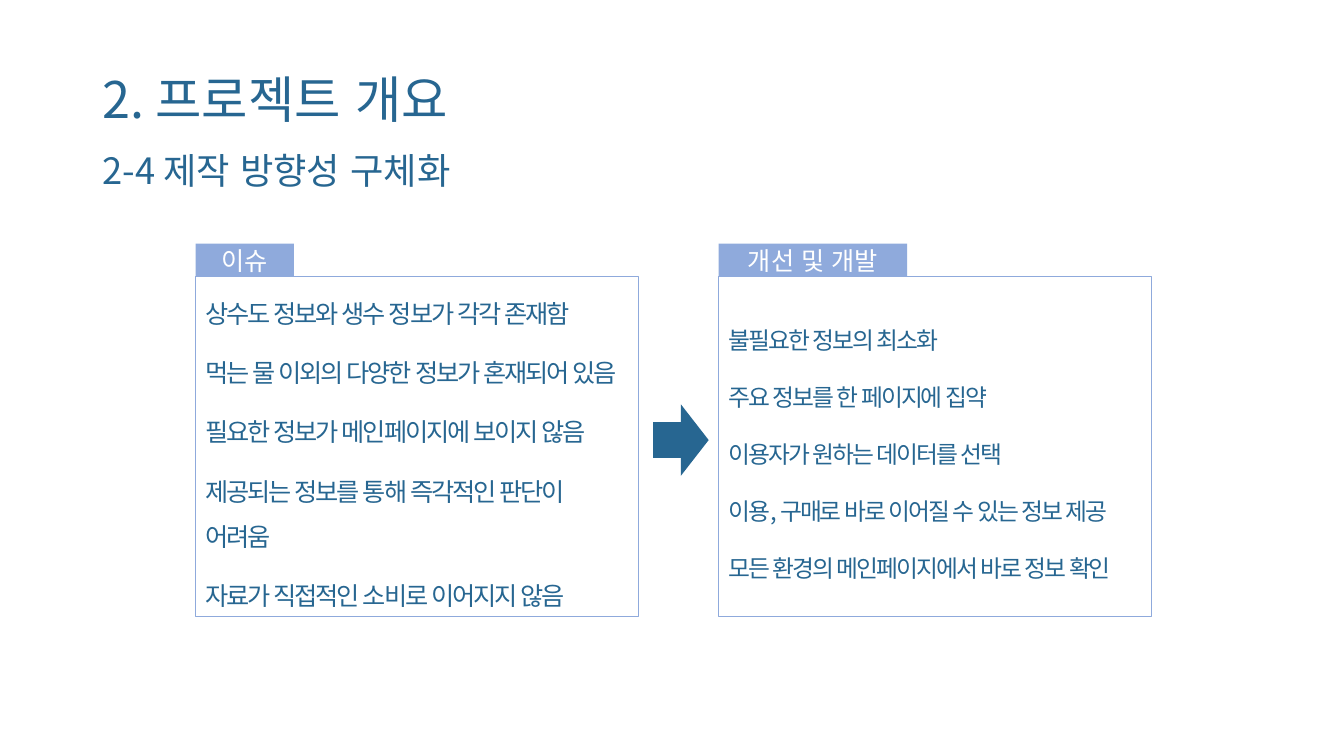
from lxml.etree import SubElement
from pptx import Presentation
from pptx.dml.color import RGBColor
from pptx.enum.lang import MSO_LANGUAGE_ID
from pptx.enum.shapes import MSO_SHAPE
from pptx.enum.text import MSO_ANCHOR, PP_ALIGN
from pptx.oxml.ns import qn
from pptx.util import Cm, Pt

FONT = "Noto Sans CJK KR"
NAVY = RGBColor(0x27, 0x66, 0x91)
PERIWINKLE = RGBColor(0x8F, 0xAA, 0xDC)
WHITE = RGBColor(0xFF, 0xFF, 0xFF)

PANEL_TOP = 6.98
PANEL_HEIGHT = 8.56
LABEL_HEIGHT = 0.84

ISSUES = [
    "상수도 정보와 생수 정보가 각각 존재함",
    "먹는 물 이외의 다양한 정보가 혼재되어 있음",
    "필요한 정보가 메인페이지에 보이지 않음",
    "제공되는 정보를 통해 즉각적인 판단이 어려움",
    "자료가 직접적인 소비로 이어지지 않음",
]
IMPROVEMENTS = [
    "불필요한 정보의 최소화",
    "주요 정보를 한 페이지에 집약",
    "이용자가 원하는 데이터를 선택",
    "이용, 구매로 바로 이어질 수 있는 정보 제공",
    "모든 환경의 메인페이지에서 바로 정보 확인",
]


def write(frame, lines, size, color=NAVY, align=PP_ALIGN.LEFT, anchor=MSO_ANCHOR.MIDDLE,
          line_spacing=1.0, gap=0, tracking=0, inset=0.13, right=0.25):
    frame.word_wrap = True
    frame.vertical_anchor = anchor
    frame.margin_top = frame.margin_bottom = Cm(inset)
    frame.margin_right = Cm(right)
    for index, line in enumerate(lines):
        paragraph = frame.add_paragraph() if index else frame.paragraphs[0]
        paragraph.alignment = align
        paragraph.line_spacing = line_spacing
        paragraph.space_before = Pt(gap if index else 0)
        run = paragraph.add_run()
        run.text = line
        run.font.size = Pt(size)
        run.font.name = FONT
        run.font.language_id = MSO_LANGUAGE_ID.KOREAN
        run.font.color.rgb = color
        properties = run.font._element
        SubElement(properties, qn("a:ea")).set("typeface", FONT)
        if tracking:
            properties.set("spc", str(int(tracking * 100)))


def add_heading(slide, text, top, width, height, **style):
    heading = slide.shapes.add_textbox(Cm(2.33), Cm(top), Cm(width), Cm(height))
    write(heading.text_frame, [text], **style)


def add_block(slide, preset, left, top, width, height, fill=None, outline=None):
    block = slide.shapes.add_shape(preset, Cm(left), Cm(top), Cm(width), Cm(height))
    block.shadow.inherit = False
    if fill is None:
        block.fill.background()
    else:
        block.fill.solid()
        block.fill.fore_color.rgb = fill
    if outline is None:
        block.line.fill.background()
    else:
        block.line.color.rgb = outline
        block.line.width = Pt(0.75)
    return block


def add_panel(slide, label, points, left, width, label_width, size):
    panel = add_block(slide, MSO_SHAPE.RECTANGLE, left, PANEL_TOP, width, PANEL_HEIGHT,
                      outline=PERIWINKLE)
    write(panel.text_frame, points, size, line_spacing=1.5, gap=10, tracking=-1.5, right=0.5)
    tab = add_block(slide, MSO_SHAPE.RECTANGLE, left, PANEL_TOP - LABEL_HEIGHT,
                    label_width, LABEL_HEIGHT, fill=PERIWINKLE)
    write(tab.text_frame, [label], 18, color=WHITE, align=PP_ALIGN.CENTER, inset=0)


def main():
    presentation = Presentation()
    presentation.slide_width = Cm(33.87)
    presentation.slide_height = Cm(19.05)
    slide = presentation.slides.add_slide(presentation.slide_layouts[6])
    add_heading(slide, "2. 프로젝트 개요", 1.7, 29.21, 1.73, size=36, line_spacing=0.9)
    add_heading(slide, "2-4 제작 방향성 구체화", 3.81, 10.31, 1.17, size=25.9,
                line_spacing=0.8, anchor=MSO_ANCHOR.TOP)
    add_panel(slide, "이슈", ISSUES, left=4.93, width=11.16, label_width=2.48, size=18)
    add_panel(slide, "개선 및 개발", IMPROVEMENTS, left=18.11, width=10.92,
              label_width=4.75, size=17)
    add_block(slide, MSO_SHAPE.RIGHT_ARROW, 16.46, 10.19, 1.4, 1.8, fill=NAVY)
    presentation.save("out.pptx")


if __name__ == "__main__":
    main()
